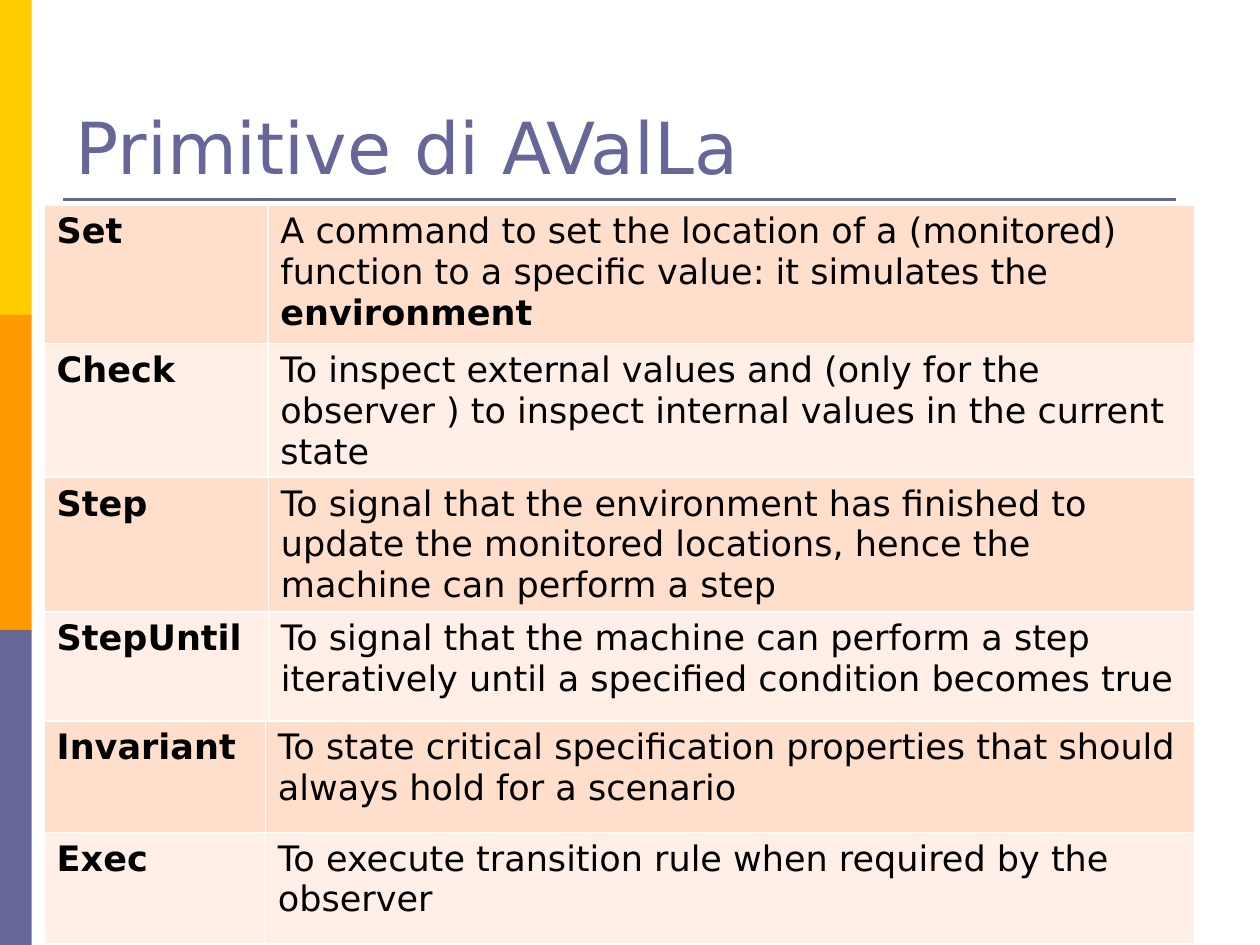
from dataclasses import dataclass

from lxml.etree import SubElement
from pptx import Presentation
from pptx.dml.color import RGBColor
from pptx.enum.shapes import MSO_CONNECTOR, MSO_SHAPE
from pptx.enum.text import MSO_ANCHOR, MSO_AUTO_SIZE, PP_ALIGN
from pptx.oxml.ns import qn
from pptx.slide import Slide
from pptx.table import _Cell
from pptx.text.text import Font
from pptx.util import Cm, Pt

FACE = "DejaVu Sans"
VIOLET = "666699"
BANDS = ["FFCC00", "FF9900", VIOLET]
TINTS = ["FFDECC", "FFEFE7"]
LEFT, WIDTH = 0.89, 23.2


@dataclass
class Entry:
    name: str
    text: str
    strong: str = ""


@dataclass
class Block:
    top: float
    split: float
    height: float
    rows: list[Entry]


BLOCKS = [
    Block(4.13, 4.51, 2.8, [
        Entry("Set", "A command to set the location of a (monitored) function "
              "to a specific value: it simulates the ", "environment"),
        Entry("Check", "To inspect external values and (only for the observer ) "
              "to inspect internal values in the current state"),
    ]),
    Block(9.62, 4.52, 2.7, [
        Entry("Step", "To signal that the environment has finished to update the "
              "monitored locations, hence the machine can perform a step"),
        Entry("StepUntil", "To signal that the machine can perform a step "
              "iteratively until a specified condition becomes true"),
    ]),
    Block(14.53, 4.46, 2.25, [
        Entry("Invariant", "To state critical specification properties that "
              "should always hold for a scenario"),
        Entry("Exec", "To execute transition rule when required by the observer"),
    ]),
]


def color(code: str) -> RGBColor:
    return RGBColor.from_string(code)


def style(font: Font, size: float, code: str, bold: bool = False) -> None:
    font.name = FACE
    font.size = Pt(size)
    font.bold = bold
    font.color.rgb = color(code)


def add_band(slide: Slide, index: int, code: str) -> None:
    high = 6.35
    band = slide.shapes.add_shape(
        MSO_SHAPE.RECTANGLE, Cm(0), Cm(index * high), Cm(0.64), Cm(high))
    band.shadow.inherit = False
    band.fill.solid()
    band.fill.fore_color.rgb = color(code)
    band.line.fill.background()


def add_rule(slide: Slide) -> None:
    rule = slide.shapes.add_connector(
        MSO_CONNECTOR.STRAIGHT, Cm(1.27), Cm(4.02), Cm(23.7), Cm(4.02))
    rule.line.color.rgb = color(VIOLET)
    rule.line.width = Pt(1.5)
    SubElement(rule._element.spPr, qn("a:effectLst"))


def set_title(slide: Slide, text: str) -> None:
    title = slide.shapes.title
    title.left, title.top = Cm(1.27), Cm(0.76)
    title.width, title.height = Cm(22.86), Cm(3.18)
    frame = title.text_frame
    frame.text = text
    frame.auto_size = MSO_AUTO_SIZE.NONE
    frame.vertical_anchor = MSO_ANCHOR.BOTTOM
    para = frame.paragraphs[0]
    para.alignment = PP_ALIGN.LEFT
    style(para.font, 41, VIOLET)


def paint(cell: _Cell, tint: str) -> None:
    props = cell._tc.get_or_add_tcPr()
    for side in ("lnL", "lnR", "lnT", "lnB"):
        edge = SubElement(props, qn(f"a:{side}"), w=str(Pt(1)))
        fill = SubElement(edge, qn("a:solidFill"))
        SubElement(fill, qn("a:srgbClr"), val="FFFFFF")
    cell.fill.solid()
    cell.fill.fore_color.rgb = color(tint)


def write(cell: _Cell, text: str, bold: bool, strong: str = "") -> None:
    para = cell.text_frame.paragraphs[0]
    for part, heavy in ((text, bold), (strong, True)):
        if part:
            run = para.add_run()
            run.text = part
            style(run.font, 20, "000000", heavy)


def add_block(slide: Slide, block: Block) -> None:
    count = len(block.rows)
    table = slide.shapes.add_table(
        count, 2, Cm(LEFT), Cm(block.top), Cm(WIDTH),
        Cm(count * block.height)).table
    table.first_row = False
    table.horz_banding = False
    table.columns[0].width = Cm(block.split)
    table.columns[1].width = Cm(WIDTH - block.split)
    for index, entry in enumerate(block.rows):
        table.rows[index].height = Cm(block.height)
        name, text = table.rows[index].cells
        for cell in (name, text):
            paint(cell, TINTS[index % 2])
        write(name, entry.name, True)
        write(text, entry.text, False, entry.strong)


def main() -> None:
    deck = Presentation()
    deck.slide_width, deck.slide_height = Cm(25.4), Cm(19.05)
    slide = deck.slides.add_slide(deck.slide_layouts[5])
    for index, code in enumerate(BANDS):
        add_band(slide, index, code)
    add_rule(slide)
    set_title(slide, "Primitive di AValLa")
    for block in BLOCKS:
        add_block(slide, block)
    deck.save("out.pptx")


main()
